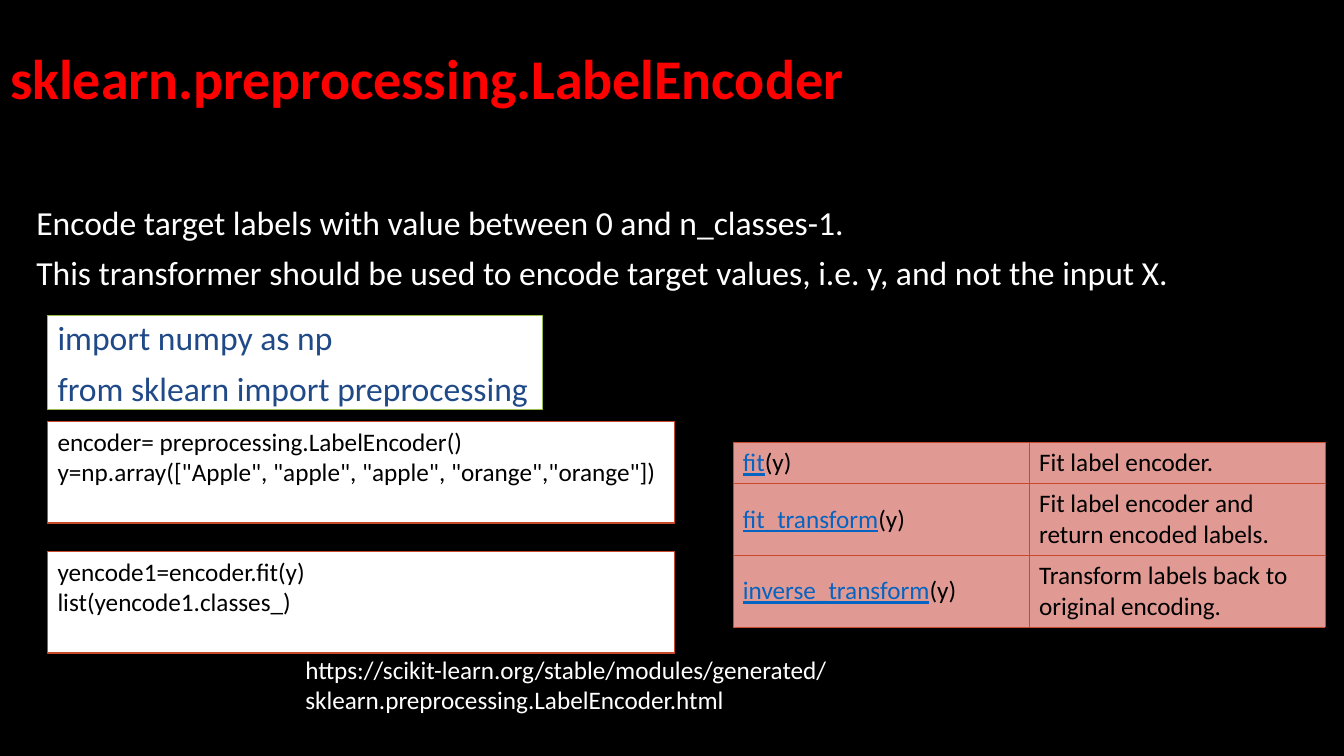
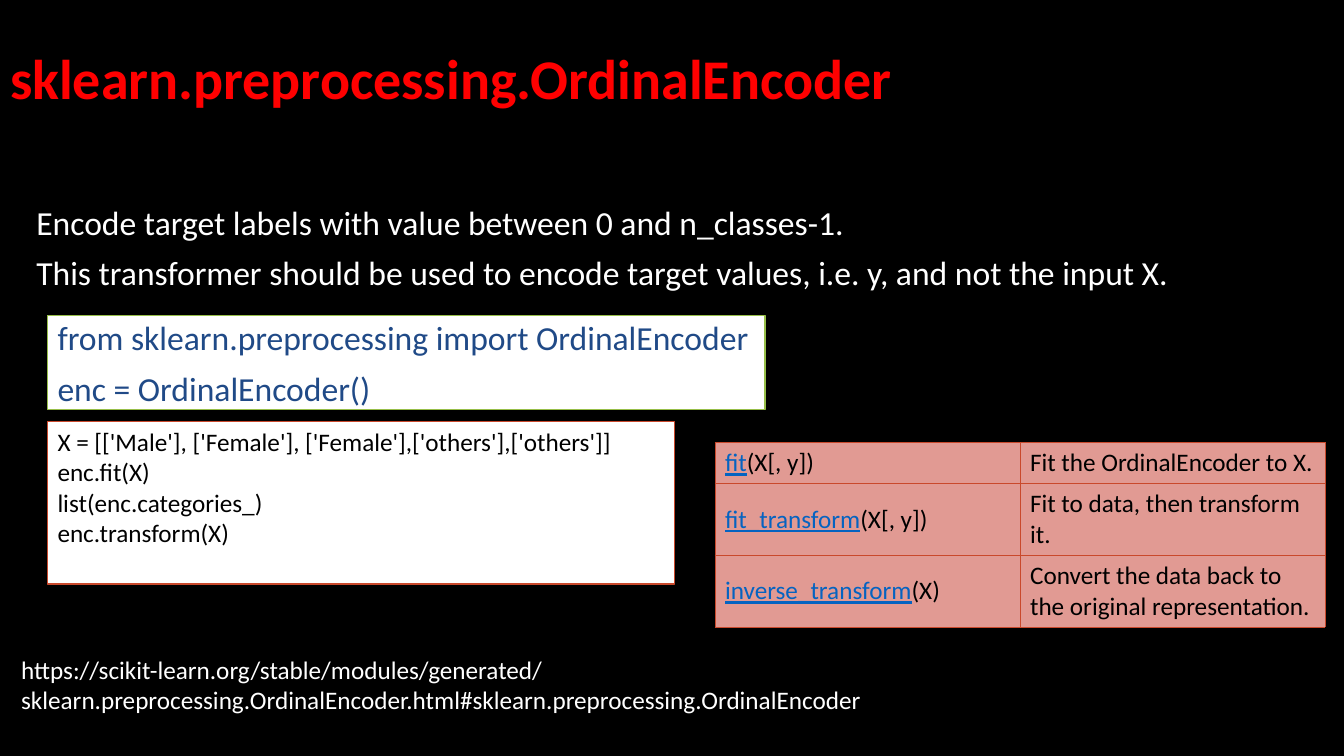
from dataclasses import dataclass
from lxml.etree import SubElement as Sub
from pptx import Presentation
from pptx.dml.color import RGBColor as Rgb
from pptx.enum.shapes import MSO_SHAPE as Kind
from pptx.enum.text import MSO_ANCHOR as Anchor, MSO_AUTO_SIZE as Auto, PP_ALIGN as Align
from pptx.oxml.ns import qn
from pptx.util import Pt

INTRO = [
    "Encode target labels with value between 0 and n_classes-1.",
    "This transformer should be used to encode target values, i.e. y, and not the input X.",
]
SITE = "https://scikit-learn.org/stable/modules/generated/"
PAGES = [
    {
        "title": "sklearn.preprocessing.LabelEncoder",
        "setup": ["import numpy as np", "from sklearn import preprocessing"],
        "wide": 353.5,
        "code": [
            ["encoder= preprocessing.LabelEncoder()",
             'y=np.array(["Apple", "apple", "apple", "orange","orange"])'],
            ["yencode1=encoder.fit(y)", "list(yencode1.classes_)"],
        ],
        "calls": [
            ("fit", "(y)", "Fit label encoder."),
            ("fit_transform", "(y)", "Fit label encoder and return encoded labels."),
            ("inverse_transform", "(y)", "Transform labels back to original encoding."),
        ],
        "left": 523.5,
        "url": SITE + "sklearn.preprocessing.LabelEncoder.html",
        "foot": (211, 626),
    },
    {
        "title": "sklearn.preprocessing.OrdinalEncoder",
        "setup": ["from sklearn.preprocessing import OrdinalEncoder", "enc = OrdinalEncoder()"],
        "wide": 512.6,
        "code": [
            ["X = [['Male'], ['Female'], ['Female'],['others'],['others']]",
             "enc.fit(X)", "list(enc.categories_)", "enc.transform(X)"],
        ],
        "calls": [
            ("fit", "(X[, y])", "Fit the OrdinalEncoder to X."),
            ("fit_transform", "(X[, y])", "Fit to data, then transform it."),
            ("inverse_transform", "(X)", "Convert the data back to the original representation."),
        ],
        "left": 510.7,
        "url": SITE + "sklearn.preprocessing.OrdinalEncoder.html#sklearn.preprocessing.OrdinalEncoder",
        "foot": (8, 931),
    },
]


@dataclass(frozen=True)
class Theme:
    font: str = "Calibri"
    back: str = "000000"
    head: str = "FF0000"
    light: str = "FFFFFF"
    dark: str = "000000"
    navy: str = "204A87"
    link: str = "0563C1"
    green: str = "97BE49"
    rust: str = "C9492C"
    rose: str = "E19A93"
    big: int = 40
    mid: int = 24
    small: int = 18


T = Theme()
LEFT, RIGHT = 34, 946.5
ROWS = (28.5, 50.5, 50.5)


def write(frame, lines, size=T.small, color=T.dark, bold=False, before=0, space=None):
    for i, line in enumerate(lines):
        para = frame.paragraphs[0] if i == 0 else frame.add_paragraph()
        para.alignment = Align.LEFT
        para.space_before = Pt(before)
        if space:
            para.line_spacing = space
        parts = [(line, False)] if isinstance(line, str) else line
        for text, link in parts:
            run = para.add_run()
            run.text = text
            font = run.font
            font.name, font.size, font.bold = T.font, Pt(size), bold
            font.underline = link
            font.color.rgb = Rgb.from_string(T.link if link else color)


def place(shape, *box):
    shape.left, shape.top, shape.width, shape.height = map(Pt, box)
    frame = shape.text_frame
    frame.word_wrap, frame.auto_size = True, Auto.NONE
    return frame


def panel(slide, box, edge):
    shape = slide.shapes.add_shape(Kind.RECTANGLE, *map(Pt, box))
    shape.shadow.inherit = False
    shape.fill.solid()
    shape.fill.fore_color.rgb = Rgb.from_string(T.light)
    shape.line.color.rgb = Rgb.from_string(edge)
    shape.line.width = Pt(1)
    frame = place(shape, *box)
    frame.vertical_anchor = Anchor.TOP
    return frame


def border(cell):
    props = cell._tc.get_or_add_tcPr()
    for i, side in enumerate(("lnL", "lnR", "lnT", "lnB")):
        line = props.makeelement(qn("a:" + side), {"w": str(Pt(0.5))})
        fill = Sub(line, qn("a:solidFill"))
        Sub(fill, qn("a:srgbClr"), val=T.rust)
        props.insert(i, line)


def grid(slide, calls, left):
    wide = RIGHT - left
    shape = slide.shapes.add_table(len(calls), 2, Pt(left), Pt(316.3), Pt(wide), Pt(sum(ROWS)))
    table = shape.table
    table.first_row = table.horz_banding = False
    for col in table.columns:
        col.width = Pt(wide / 2)
    for r, (name, args, note) in enumerate(calls):
        table.rows[r].height = Pt(ROWS[r])
        for c, line in enumerate(([(name, True), (args, False)], note)):
            cell = table.cell(r, c)
            cell.vertical_anchor = Anchor.MIDDLE
            cell.fill.solid()
            cell.fill.fore_color.rgb = Rgb.from_string(T.rose)
            border(cell)
            write(cell.text_frame, [line])


def build(deck, page):
    slide = deck.slides.add_slide(deck.slide_layouts[1])
    slide.background.fill.solid()
    slide.background.fill.fore_color.rgb = Rgb.from_string(T.back)

    frame = place(slide.shapes.title, 0, 5.8, 828, 104.4)
    frame.vertical_anchor = Anchor.MIDDLE
    write(frame, [page["title"]], size=T.big, color=T.head, bold=True, space=0.9)

    frame = place(slide.placeholders[1], 18.7, 144, 935.3, 342.7)
    write(frame, INTRO, size=T.mid, color=T.light, before=10, space=0.9)
    for para in frame.paragraphs:
        props = para._p.get_or_add_pPr()
        props.set("marL", "0")
        props.set("indent", "0")
        Sub(props, qn("a:buNone"))

    frame = panel(slide, (LEFT, 225.4, page["wide"], 67), T.green)
    frame.margin_top = frame.margin_bottom = 0
    frame.vertical_anchor = Anchor.MIDDLE
    write(frame, page["setup"], size=T.mid, color=T.navy, before=7.2)

    top = 301
    for code in page["code"]:
        high = 21.8 * (len(code) + 1) + 7.2
        write(panel(slide, (LEFT, top, 447.8, high), T.rust), code)
        top += high + 20.2

    grid(slide, page["calls"], page["left"])

    left, wide = page["foot"]
    note = slide.shapes.add_textbox(0, 0, 0, 0)
    write(place(note, left, 463.7, wide, 51), [page["url"]], color=T.light)


deck = Presentation()
deck.slide_width, deck.slide_height = Pt(960), Pt(540)
for page in PAGES:
    build(deck, page)
deck.save("out.pptx")
